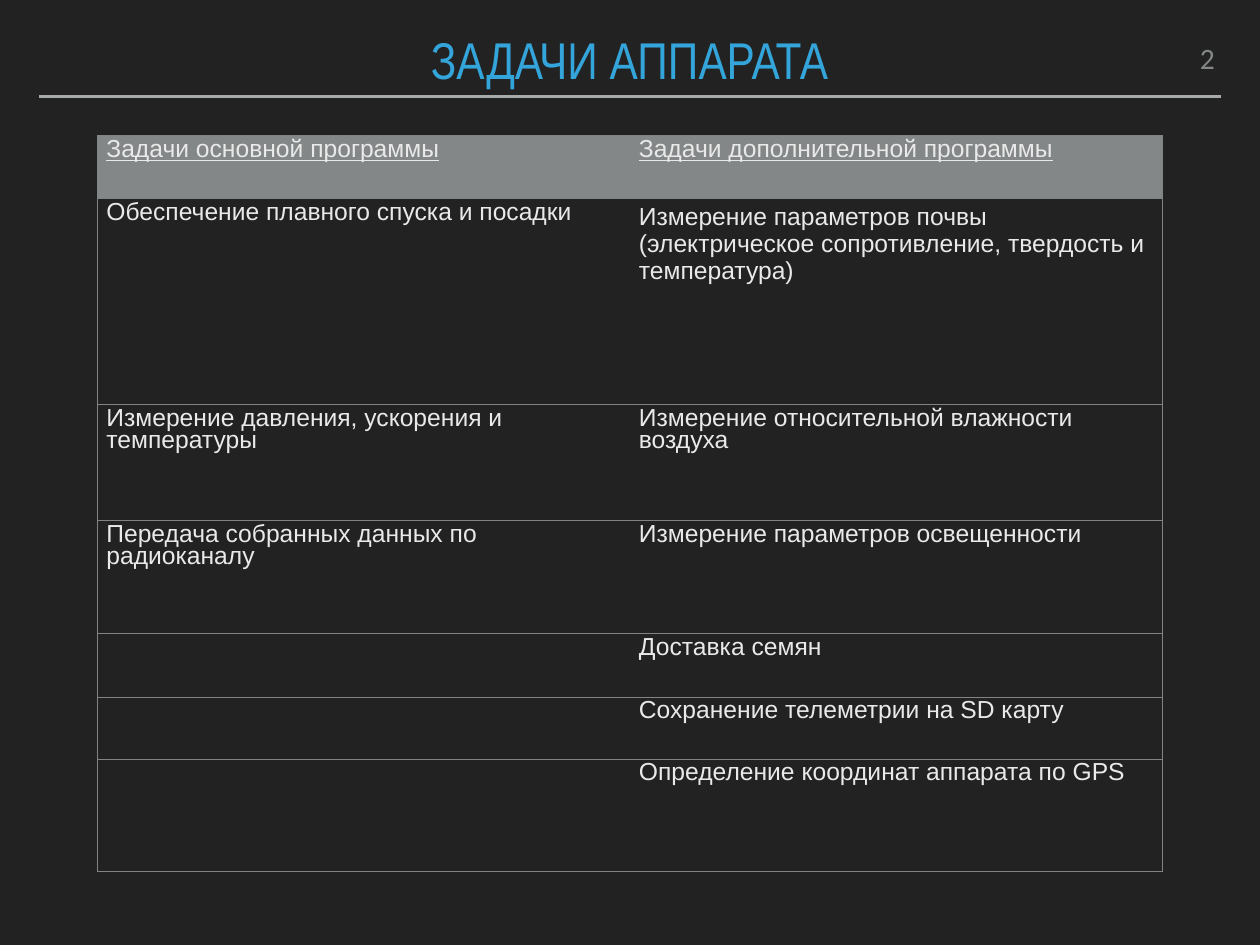
import pptx
import pptx.util
import pptx.dml.color
import pptx.enum.shapes
import pptx.enum.text
import pptx.oxml
import pptx.oxml.ns

ALIGN = pptx.enum.text.PP_ALIGN
ANCHOR = pptx.enum.text.MSO_ANCHOR
BACK, RULE, BLUE, GREY, BORDER, LIGHT = (
    "222222", "A6AAA9", "34A5DA", "838787", "808484", "E9E9E9")


def color(value):
    return pptx.dml.color.RGBColor.from_string(value)


def write(tf, text, font="Arial", size=20, fill=LIGHT, align=ALIGN.LEFT,
          spacing=0.8, underline=False):
    p = tf.paragraphs[0]
    p.alignment = align
    p.line_spacing = spacing
    r = p.add_run()
    r.text = text
    r.font.name = font
    r.font.size = pptx.util.Pt(size)
    r.font.color.rgb = color(fill)
    r.font.bold = False
    r.font.underline = underline


class Deck:
    def __init__(self, width, height):
        self.prs = pptx.Presentation()
        self.prs.slide_width = pptx.util.Inches(width)
        self.prs.slide_height = pptx.util.Inches(height)
        self.s = self.prs.slides.add_slide(self.prs.slide_layouts[5])
        self.s.background.fill.solid()
        self.s.background.fill.fore_color.rgb = color(BACK)

    def x(self, percent):
        return round(self.prs.slide_width * percent / 100)

    def y(self, percent):
        return round(self.prs.slide_height * percent / 100)

    def box(self, left, top, width, height):
        return self.x(left), self.y(top), self.x(width), self.y(height)

    def frame(self, sp, wrap, anchor):
        tf = sp.text_frame
        tf.word_wrap = wrap
        tf.auto_size = pptx.enum.text.MSO_AUTO_SIZE.NONE
        tf.vertical_anchor = anchor
        inset = pptx.util.Inches(0.06)
        tf.margin_left = tf.margin_right = inset
        tf.margin_top = tf.margin_bottom = inset
        return tf

    def title(self, text, box):
        sp = self.s.shapes.title
        sp.left, sp.top, sp.width, sp.height = self.box(*box)
        write(self.frame(sp, True, ANCHOR.MIDDLE), text, font="Arial Narrow",
              size=42, fill=BLUE, align=ALIGN.CENTER)

    def number(self, text, box):
        sp = self.s.shapes.add_textbox(*self.box(*box))
        write(self.frame(sp, False, ANCHOR.TOP), text, font="Calibri",
              size=24, fill=GREY, align=ALIGN.RIGHT)

    def rule(self, left, right, top):
        sp = self.s.shapes.add_connector(
            pptx.enum.shapes.MSO_CONNECTOR.STRAIGHT,
            self.x(left), self.y(top), self.x(right), self.y(top))
        sp.line.color.rgb = color(RULE)
        sp.line.width = pptx.util.Pt(2)
        sp._element.spPr.append(pptx.oxml.parse_xml(
            f"<a:effectLst {pptx.oxml.ns.nsdecls('a')}/>"))

    def borders(self, cell, sides):
        tcPr = cell._tc.get_or_add_tcPr()
        for i, side in enumerate("LRTB"):
            shown = side in sides
            paint = (f'<a:solidFill><a:srgbClr val="{BORDER}"/></a:solidFill>'
                     if shown else "<a:noFill/>")
            width = pptx.util.Pt(0.75) if shown else 0
            tcPr.insert(i, pptx.oxml.parse_xml(
                f'<a:ln{side} {pptx.oxml.ns.nsdecls("a")} w="{width}">'
                f"{paint}</a:ln{side}>"))

    def table(self, rows, heights, left, top, width):
        box = self.box(left, top, width, sum(heights))
        table = self.s.shapes.add_table(len(rows), 2, *box).table
        for i, (texts, height) in enumerate(zip(rows, heights)):
            table.rows[i].height = self.y(height)
            for j, text in enumerate(texts):
                cell = table.cell(i, j)
                if i == 0:
                    cell.fill.solid()
                    cell.fill.fore_color.rgb = color(GREY)
                else:
                    cell.fill.background()
                self.borders(cell, "TB" + "LR"[j])
                if text:
                    write(cell.text_frame, text, underline=i == 0,
                          spacing=1 if (i, j) == (1, 1) else 0.8)


def main():
    deck = Deck(14.22, 10.67)
    deck.rule(3.09, 96.91, 10.22)
    deck.title("ЗАДАЧИ АППАРАТА", (27.78, 2.91, 44.37, 7.87))
    deck.number("2", (94.87, 4.4, 1.97, 4.69))
    tasks = [
        ("Задачи основной программы", "Задачи дополнительной программы"),
        ("Обеспечение плавного спуска и посадки",
         "Измерение параметров почвы (электрическое сопротивление, "
         "твердость и температура)"),
        ("Измерение давления, ускорения и температуры",
         "Измерение относительной влажности воздуха"),
        ("Передача собранных данных по радиоканалу",
         "Измерение параметров освещенности"),
        ("", "Доставка семян"),
        ("", "Сохранение телеметрии на SD карту"),
        ("", "Определение координат аппарата по GPS"),
    ]
    heights = [6.65, 21.84, 12.28, 11.9, 6.75, 6.56, 11.9]
    deck.table(tasks, heights, 7.74, 14.34, 84.53)
    deck.prs.save("out.pptx")


if __name__ == "__main__":
    main()
